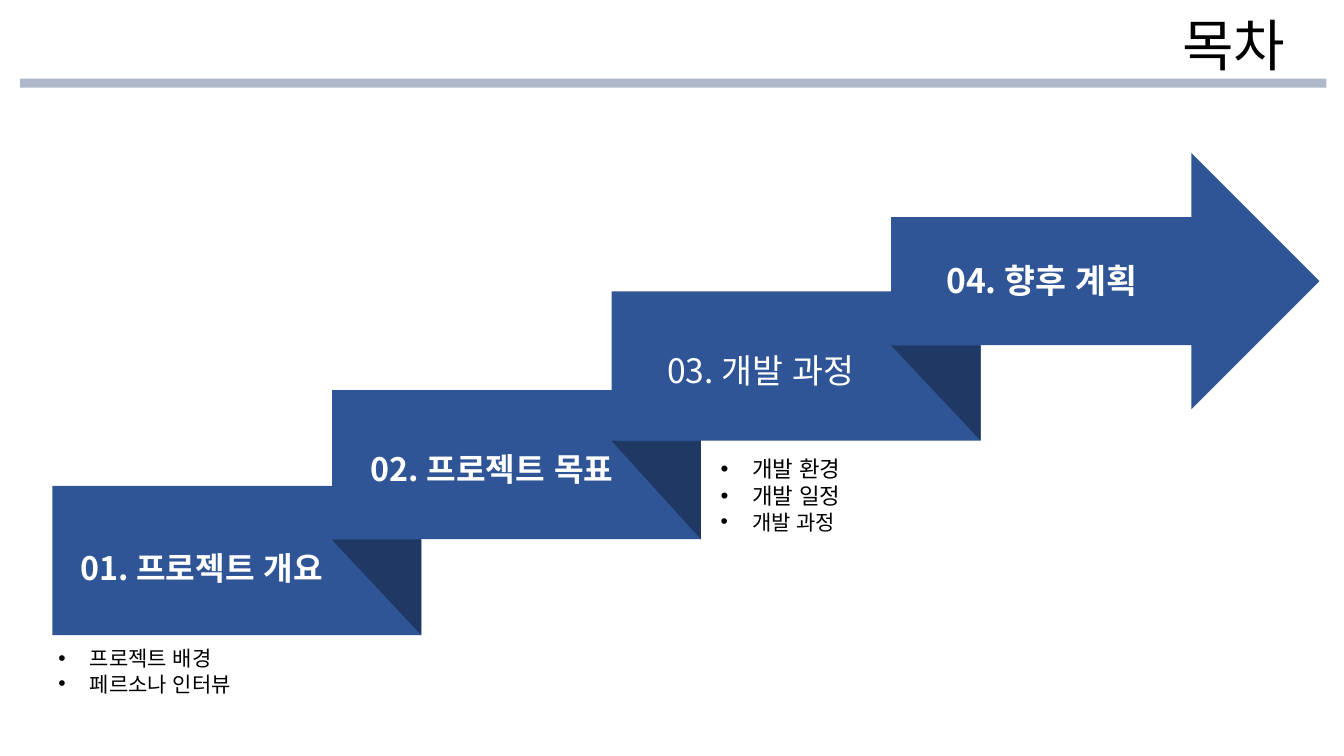
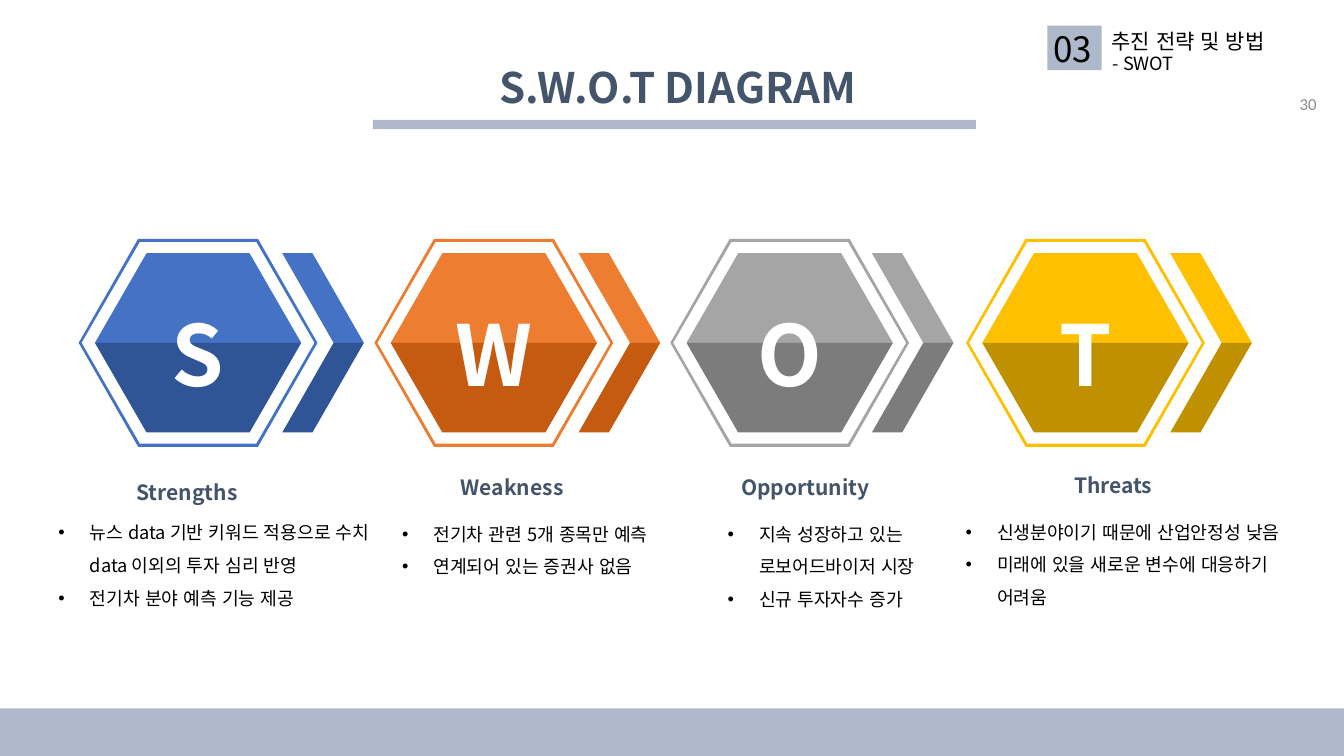
"""Builds a contents slide and a SWOT diagram slide."""
import pptx
import pptx.dml.color
import pptx.enum.lang
import pptx.enum.shapes
import pptx.enum.text
import pptx.oxml.ns
import pptx.util
from lxml import etree

Pt = pptx.util.Pt
rgb = pptx.dml.color.RGBColor.from_string
SHAPE = pptx.enum.shapes.MSO_SHAPE
ALIGN = pptx.enum.text.PP_ALIGN
ANCHOR = pptx.enum.text.MSO_ANCHOR
KOREAN = pptx.enum.lang.MSO_LANGUAGE_ID.KOREAN
qn = pptx.oxml.ns.qn

FONT = "Noto Sans CJK KR"
BLACK, WHITE, BAND, SLATE = "000000", "FFFFFF", "ADB9CA", "44546A"
BLUE, NAVY = "2F5597", "203864"


def draw(s, color, kind=None, box=None, rings=None):
    """Draw a plain preset shape in a box, or a freeform from rings of points."""
    if rings:
        rings = [[(Pt(x), Pt(y)) for x, y in ring] for ring in rings]
        fb = s.shapes.build_freeform(*rings[0][0], scale=1.0)
        fb.add_line_segments(rings[0][1:], close=True)
        for ring in rings[1:]:
            fb.move_to(*ring[0])
            fb.add_line_segments(ring[1:], close=True)
        sp = fb.convert_to_shape()
    else:
        sp = s.shapes.add_shape(kind, *[Pt(v) for v in box])
    sp.shadow.inherit = False
    sp.fill.solid()
    sp.fill.fore_color.rgb = rgb(color)
    sp.line.fill.background()
    return sp


def write(s, box, lines, size, color=BLACK, bold=False, align=ALIGN.LEFT,
          font=FONT, bullet=False, spacing=None):
    """Add a text box with one paragraph for each line."""
    tf = s.shapes.add_textbox(*[Pt(v) for v in box]).text_frame
    tf.word_wrap = True
    tf.text = "\n".join(lines)
    for p in tf.paragraphs:
        p.alignment = align
        if bullet:
            pPr = p._p.get_or_add_pPr()
            pPr.set("marL", str(Pt(22.5)))
            pPr.set("indent", str(-Pt(22.5)))
            etree.SubElement(pPr, qn("a:buFont")).set("typeface", "Arial")
            etree.SubElement(pPr, qn("a:buChar")).set("char", "•")
        if spacing:
            p.line_spacing = spacing
        for r in p.runs:
            r.font.size = Pt(size)
            r.font.bold = bold
            r.font.name = font
            r.font.color.rgb = rgb(color)
            r.font.language_id = KOREAN
            etree.SubElement(r._r.rPr, qn("a:ea")).set("typeface", font)
    return tf


prs = pptx.Presentation()
prs.slide_width, prs.slide_height = Pt(960), Pt(540)
blank = prs.slide_layouts[6]

s = prs.slides.add_slide(blank)
write(s, (837.4, 4.3, 118.8, 55.4), ["목차"], 40, font="Arial")
draw(s, BAND, SHAPE.RECTANGLE, (14.4, 56.2, 933.1, 6.5))

step_left, step_pitch, step_w, step_h, fold_w = 37.4, 199.8, 263.5, 106.6, 64.1
step_bottoms = [453.6, 385.2, 314.7, 246.6]
for i, (bottom, next_bottom) in enumerate(zip(step_bottoms, step_bottoms[1:])):
    left = step_left + i * step_pitch
    draw(s, BLUE, SHAPE.RECTANGLE, (left, bottom - step_h, step_w, step_h))
    fold = draw(s, NAVY, SHAPE.RIGHT_TRIANGLE,
                (left + step_w - fold_w, next_bottom, fold_w, bottom - next_bottom))
    fold.rotation = 180
draw(s, BLUE, SHAPE.RIGHT_ARROW, (636.5, 109.4, 306, 182.9))

for left, top, label, size, bold in [
    (50.4, 388.1, "01. 프로젝트 개요", 23, True),
    (257.8, 317.5, "02. 프로젝트 목표", 23, True),
    (469.4, 246.2, "03. 개발 과정", 24, False),
    (668.9, 182.2, "04. 향후 계획", 24, True),
]:
    write(s, (left, top, 220, 36), [label], size, WHITE, bold)

write(s, (34.6, 457.9, 214.6, 61.9), ["프로젝트 배경", "페르소나 인터뷰"], 15, bullet=True)
tf = write(s, (507.6, 321.8, 214.6, 64.1), ["개발 환경", "개발 일정", "개발 과정"], 16, bullet=True)
tf.paragraphs[-1].runs[0].font.size = Pt(15)

s = prs.slides.add_slide(blank)
draw(s, BAND, SHAPE.RECTANGLE, (0, 506, 960, 34))

hex_left, hex_pitch, mid_y = 141.5, 211.3, 244.9
swot = [
    ("S", "4472C4", "2F5597", 201.6, "Strengths", 133.6, 339.1, (34.6, 361.4, 265.7),
     ["뉴스 data 기반 키워드 적용으로 수치 data 이외의 투자 심리 반영", "전기차 분야 예측 기능 제공"]),
    ("W", "ED7D31", "C55A11", 413.3, "Weakness", 365.8, 335.5, (280.1, 362.2, 265.7),
     ["전기차 관련 5개 종목만 예측", "연계되어 있는 증권사 없음"]),
    ("O", "A5A5A5", "7C7C7C", 622.8, "Opportunity", 575.3, 335.5, (512.6, 362.2, 219.6),
     ["지속 성장하고 있는 로보어드바이저 시장", "신규 투자자수 증가"]),
    ("T", "FFC000", "BF9000", 835.9, "Threats", 795.2, 334.1, (682.6, 360.7, 241.9),
     ["신생분야이기 때문에 산업안정성 낮음", "미래에 있을 새로운 변수에 대응하기 어려움"]),
]
for i, (letter, light, dark, tail, name, name_x, name_y, (left, top, width), points) in enumerate(swot):
    cx = hex_left + i * hex_pitch
    outer, inner = [
        [(cx - w, mid_y), (cx - e, mid_y - h), (cx + e, mid_y - h),
         (cx + w, mid_y), (cx + e, mid_y + h), (cx - e, mid_y + h)]
        for w, e, h in [(85.3, 42.8, 74.3), (83.2, 41.6, 72.1)]
    ]
    draw(s, light, rings=[outer, inner[::-1]])
    for color, y in [(light, mid_y - 64), (dark, mid_y + 64)]:
        draw(s, color, rings=[[(tail + 58.3, mid_y), (tail + 21.6, y), (tail, y), (tail + 36.7, mid_y)]])
        draw(s, color, rings=[[(cx - 36.8, y), (cx + 36.8, y), (cx + 73.7, mid_y), (cx - 73.7, mid_y)]])
    write(s, (cx - 41, 212.4, 82, 79.9), [letter], 60, WHITE, True, ALIGN.CENTER)
    write(s, (name_x - 86.4, name_y, 172.8, 25.2), [name], 15, SLATE, True, ALIGN.CENTER)
    write(s, (left, top, width, 76.3), points, 13, bullet=True, spacing=1.5)

write(s, (90.7, 40.3, 787, 43.9), ["S.W.O.T DIAGRAM"], 30, SLATE, True, ALIGN.CENTER)
draw(s, BAND, SHAPE.RECTANGLE, (266.4, 85.7, 430.6, 6.5))
tf = write(s, (731.5, 59.8, 216, 28.8), ["30"], 12, "8C8C8C", align=ALIGN.RIGHT, font="Calibri")
tf.vertical_anchor = ANCHOR.MIDDLE
draw(s, BAND, SHAPE.RECTANGLE, (748.1, 18.4, 38.9, 31.7))
write(s, (745.2, 15.8, 51.8, 37.4), ["03"], 25)
write(s, (787, 16.6, 170, 25.2), ["추진 전략 및 방법"], 15)
write(s, (787.7, 33.8, 170, 23), ["- SWOT"], 13)

prs.save("out.pptx")
